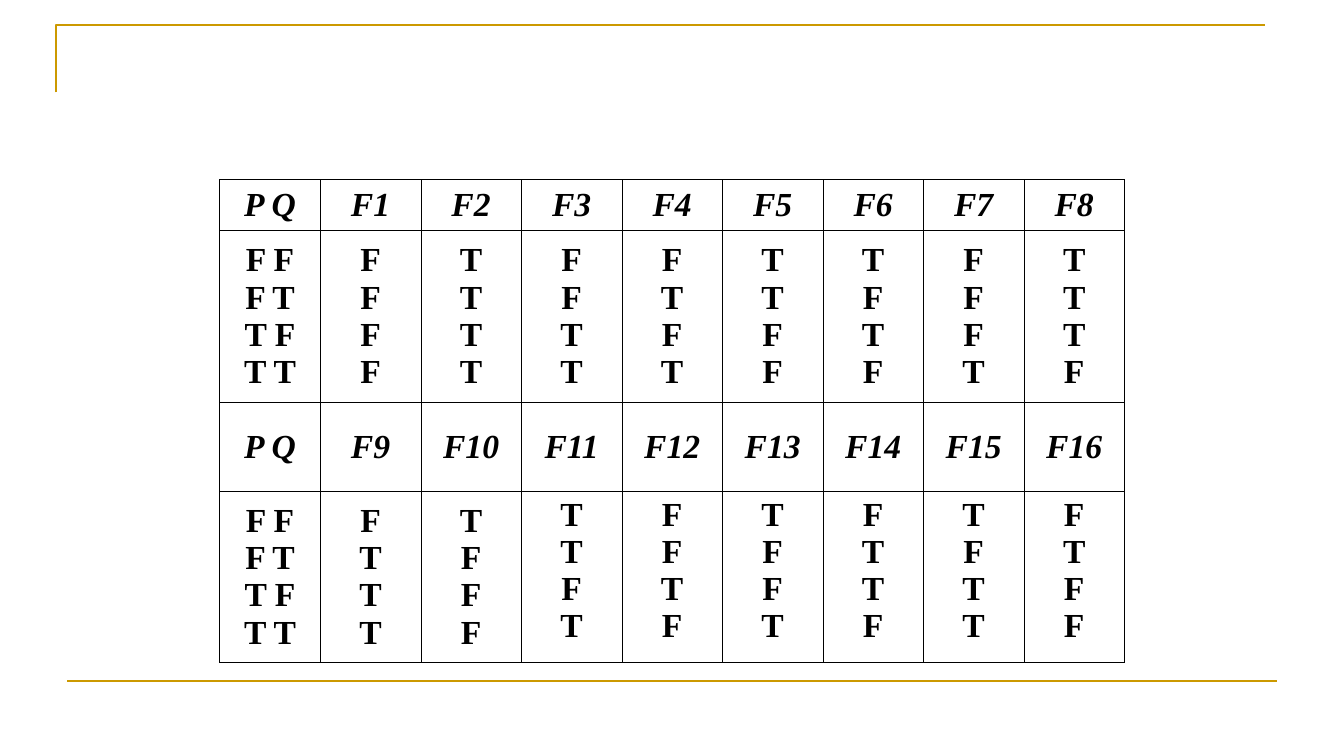
"""Build a slide with the truth tables of the sixteen binary logical functions."""
from dataclasses import dataclass
from typing import Any

from lxml.etree import SubElement
from pptx import Presentation
from pptx.dml.color import RGBColor
from pptx.enum.shapes import MSO_CONNECTOR
from pptx.enum.text import MSO_ANCHOR, PP_ALIGN
from pptx.oxml.ns import qn
from pptx.slide import Slide
from pptx.table import _Cell
from pptx.util import Cm, Pt


@dataclass(frozen=True)
class Theme:
    """Colours, type and line widths of the slide."""
    ink: RGBColor = RGBColor(0x00, 0x00, 0x00)
    gold: RGBColor = RGBColor(0xCC, 0x99, 0x00)
    font: str = "Times New Roman"
    size: float = 24
    rule_width: float = 1.5
    border_width: float = 0.45


@dataclass(frozen=True)
class Band:
    """A heading row and the row of truth values below it."""
    first_number: int
    heading_height: float
    values_height: float
    truth: tuple[str, ...]
    middle_columns: int


THEME = Theme()
INPUTS = ("F F", "F T", "T F", "T T")
BANDS = (
    Band(1, 1.28, 4.32,
         ("FFFF", "TTTT", "FFTT", "FTFT", "TTFF", "TFTF", "FFFT", "TTTF"), 9),
    Band(9, 2.25, 4.32,
         ("FTTT", "TFFF", "TTFT", "FFTF", "TFFT", "FTTF", "TFTT", "FTFF"), 3),
)
TABLE_LEFT, TABLE_TOP, TABLE_WIDTH = 5.54, 4.53, 22.81
HANGING = Cm(0.95)


def apply_format(target: Any, values: dict[str, Any]) -> None:
    """Set each named attribute on the target."""
    for name, value in values.items():
        setattr(target, name, value)


def style_rule(line: Any) -> None:
    """Give a decorative rule its colour and width."""
    line.color.rgb = THEME.gold
    line.width = Pt(THEME.rule_width)


def draw_rules(page: Slide) -> None:
    """Draw the top corner rule and the bottom rule."""
    left, top, length = Cm(1.42), Cm(0.63), Cm(30.48)
    builder = page.shapes.build_freeform(left, top + Cm(1.7))
    builder.add_line_segments([(left, top), (left + length, top)], close=False)
    corner = builder.convert_to_shape()
    corner.shadow.inherit = False
    corner.fill.background()
    style_rule(corner.line)

    start, level = Cm(1.7), Cm(17.15)
    bottom = page.shapes.add_connector(
        MSO_CONNECTOR.STRAIGHT, start, level, start + length, level)
    SubElement(bottom._element.spPr, qn("a:effectLst"))
    style_rule(bottom.line)


def draw_borders(cell: _Cell) -> None:
    """Put a thin solid line on all four sides of a cell."""
    properties = cell._tc.get_or_add_tcPr()
    for side in ("lnL", "lnR", "lnT", "lnB"):
        border = SubElement(properties, qn(f"a:{side}"), w=str(Pt(THEME.border_width)))
        fill = SubElement(border, qn("a:solidFill"))
        SubElement(fill, qn("a:srgbClr"), val=str(THEME.ink))


def write_cell(cell: _Cell, lines: tuple[str, ...], italic: bool,
               anchor: MSO_ANCHOR) -> None:
    """Write centred bold lines into a bordered cell."""
    draw_borders(cell)
    cell.fill.background()
    cell.vertical_anchor = anchor
    frame = cell.text_frame
    for index, line in enumerate(lines):
        para = frame.add_paragraph() if index else frame.paragraphs[0]
        para.alignment = PP_ALIGN.CENTER
        apply_format(para._p.get_or_add_pPr(), {"marL": HANGING, "indent": -HANGING})
        span = para.add_run()
        span.text = line
        apply_format(span.font, {"name": THEME.font, "size": Pt(THEME.size),
                                 "bold": True, "italic": italic})
        span.font.color.rgb = THEME.ink


def draw_truth_table(page: Slide) -> None:
    """Draw the bands of functions as one table."""
    heights = [height for band in BANDS
               for height in (band.heading_height, band.values_height)]
    columns = len(BANDS[0].truth) + 1
    table = page.shapes.add_table(
        len(heights), columns, Cm(TABLE_LEFT), Cm(TABLE_TOP),
        Cm(TABLE_WIDTH), Cm(sum(heights))).table
    apply_format(table, {"first_row": False, "horz_banding": False})
    for column in table.columns:
        column.width = Cm(TABLE_WIDTH / columns)
    for row, height in zip(table.rows, heights):
        row.height = Cm(height)

    for index, band in enumerate(BANDS):
        for column, values in enumerate((INPUTS, *band.truth)):
            heading = f"F{band.first_number + column - 1}" if column else "P Q"
            anchor = MSO_ANCHOR.MIDDLE if column < band.middle_columns else MSO_ANCHOR.TOP
            write_cell(table.cell(2 * index, column), (heading,), True, MSO_ANCHOR.MIDDLE)
            write_cell(table.cell(2 * index + 1, column), tuple(values), False, anchor)


def main() -> None:
    """Create the deck and save it."""
    deck = Presentation()
    apply_format(deck, {"slide_width": Cm(33.88), "slide_height": Cm(19.05)})
    page = deck.slides.add_slide(deck.slide_layouts[6])
    draw_rules(page)
    draw_truth_table(page)
    deck.save("out.pptx")


if __name__ == "__main__":
    main()
